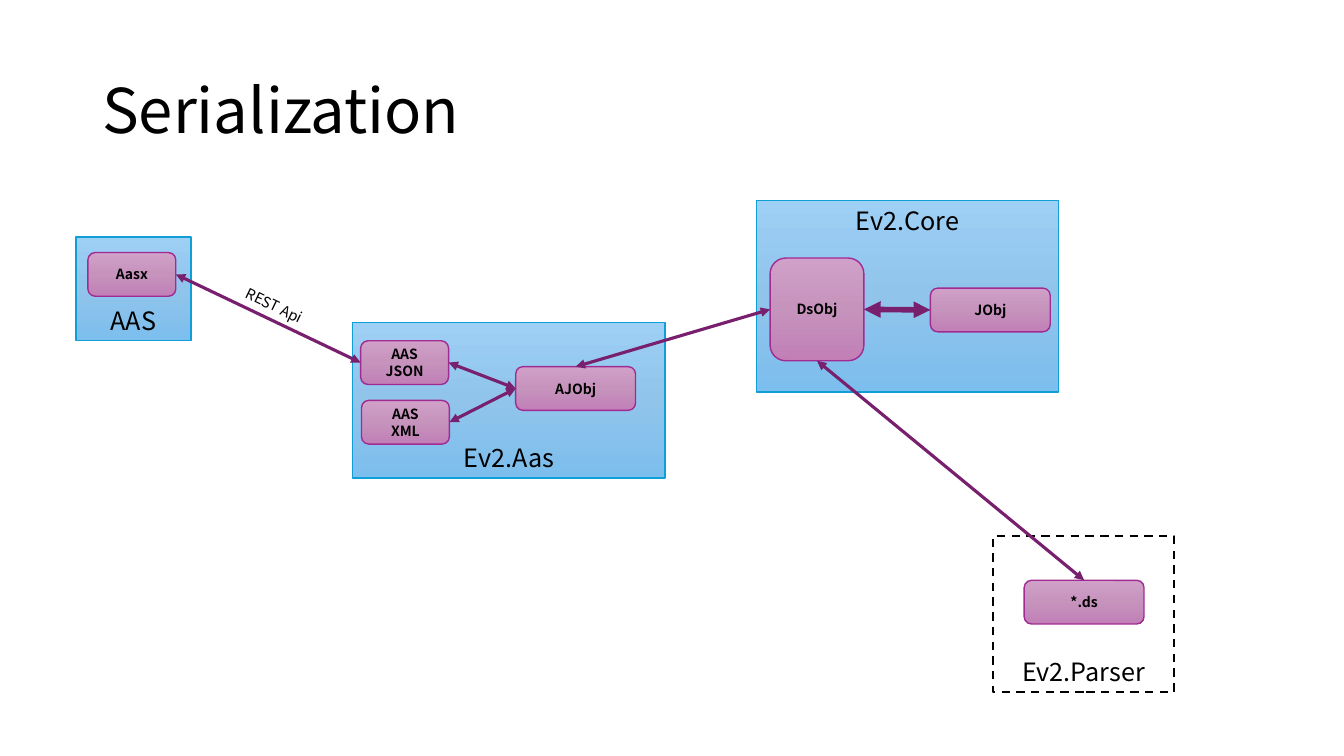
from copy import deepcopy

from pptx import Presentation
from pptx.dml.color import RGBColor
from pptx.enum.dml import MSO_LINE
from pptx.enum.shapes import MSO_CONNECTOR, MSO_SHAPE
from pptx.enum.text import MSO_ANCHOR, MSO_AUTO_SIZE, PP_ALIGN
from pptx.oxml import parse_xml
from pptx.oxml.ns import nsdecls, qn
from pptx.util import Pt

THEME = {
    "font": "Noto Sans CJK KR",
    "text": "000000",
    "title_size": 44, "module_size": 18, "object_size": 10, "label_size": 10.5,
    "module_fill": ("9ECFF5", "90C4EB", "7CBEED"), "module_line": "0F9ED5",
    "object_fill": ("D0A0C8", "C693BD", "C17FB6"), "object_line": "A02B93",
    "external_fill": "FFFFFF", "external_line": "000000",
    "link": "78206E",
}

TITLE = ("Serialization", (66, 28.75, 828, 104.4))
LINK_LABEL = ("REST Api", (167, 208.8, 59.8, 20.9), 25.7)

# name, left, top, width, height, anchor, external
MODULES = [
    ("Ev2.Core", 540.5, 143.3, 215.5, 136.7, MSO_ANCHOR.TOP, False),
    ("Ev2.Aas", 252, 230.4, 223.2, 111, MSO_ANCHOR.BOTTOM, False),
    ("Ev2.Parser", 709.2, 383.2, 129.6, 111, MSO_ANCHOR.BOTTOM, True),
    ("AAS", 54.2, 169.2, 82.2, 74.2, MSO_ANCHOR.BOTTOM, False),
]

SMALL, WIDE, TALL = (62.8, 31.2), (85.6, 31.2), (67, 73.4)
# key: lines, left, top, size
OBJECTS = {
    "ds_obj": (["DsObj"], 550.1, 184.3, TALL),
    "j_obj": (["JObj"], 664.6, 205.8, WIDE),
    "aj_obj": (["AJObj"], 368.4, 261.9, WIDE),
    "ds_file": (["*.ds"], 731.6, 414.5, WIDE),
    "xml": (["AAS", "XML"], 258.2, 286, SMALL),
    "json": (["AAS", "JSON"], 257.6, 243.4, SMALL),
    "aasx": (["Aasx"], 62.8, 180.4, SMALL),
}

TOP, LEFT, BOTTOM, RIGHT = range(4)
# from, side, to, side, line width
LINKS = [
    ("ds_obj", LEFT, "aj_obj", TOP, 2.25),
    ("j_obj", LEFT, "ds_obj", RIGHT, 4),
    ("ds_obj", BOTTOM, "ds_file", TOP, 2.25),
    ("aj_obj", LEFT, "xml", RIGHT, 2.25),
    ("json", LEFT, "aasx", RIGHT, 2.25),
    ("aj_obj", LEFT, "json", RIGHT, 2.25),
]


def rgb(name):
    return RGBColor.from_string(THEME.get(name, name))


def write(sp, lines, size, anchor, align=PP_ALIGN.CENTER, bold=False, wrap=True):
    tf = sp.text_frame
    tf.word_wrap = wrap
    tf.vertical_anchor = anchor
    for i, line in enumerate(lines):
        p = tf.add_paragraph() if i else tf.paragraphs[0]
        p.alignment = align
        r = p.add_run()
        r.text = line
        r.font.name = THEME["font"]
        r.font.size = Pt(THEME[size])
        r.font.bold = bold
        r.font.color.rgb = rgb("text")
    return tf


def add_text(s, box):
    return s.shapes.add_textbox(*map(Pt, box))


def add_box(s, preset, box, style, line_width=1):
    sp = s.shapes.add_shape(preset, *map(Pt, box))
    sp.shadow.inherit = False
    fill = THEME[f"{style}_fill"]
    if isinstance(fill, tuple):
        fill_gradient(sp, fill)
    else:
        sp.fill.solid()
        sp.fill.fore_color.rgb = rgb(fill)
    sp.line.color.rgb = rgb(f"{style}_line")
    sp.line.width = Pt(line_width)
    return sp


def fill_gradient(sp, colours):
    """Fill from top to bottom with three evenly spaced colours."""
    sp.fill.gradient()
    sp.fill.gradient_angle = 270
    stops = next(sp.element.spPr.iter(qn("a:gsLst")))
    stops.insert(1, deepcopy(stops[0]))
    for i, (stop, colour) in enumerate(zip(sp.fill.gradient_stops, colours)):
        stop.position = i / 2
        stop.color.rgb = rgb(colour)


def add_link(s, start, start_side, end, end_side, width):
    cx = s.shapes.add_connector(MSO_CONNECTOR.STRAIGHT, 0, 0, 0, 0)
    cx.begin_connect(start, start_side)
    cx.end_connect(end, end_side)
    cx.line.color.rgb = rgb("link")
    cx.line.width = Pt(width)
    ln = cx.line._get_or_add_ln()
    for tag in ("headEnd", "tailEnd"):
        ln.append(parse_xml(f'<a:{tag} {nsdecls("a")} type="triangle"/>'))
    cx.element.spPr.append(parse_xml(f'<a:effectLst {nsdecls("a")}/>'))


def main():
    prs = Presentation()
    prs.slide_width, prs.slide_height = Pt(960), Pt(540)
    s = prs.slides.add_slide(prs.slide_layouts[6])

    text, box = TITLE
    tf = write(add_text(s, box), [text], "title_size", MSO_ANCHOR.MIDDLE, PP_ALIGN.LEFT)
    tf.paragraphs[0].line_spacing = 0.9

    for name, *box, anchor, external in MODULES:
        if external:
            sp = add_box(s, MSO_SHAPE.RECTANGLE, box, "external", 1.5)
            sp.line.dash_style = MSO_LINE.DASH
        else:
            sp = add_box(s, MSO_SHAPE.RECTANGLE, box, "module")
        write(sp, [name], "module_size", anchor)

    objects = {}
    for key, (lines, left, top, size) in OBJECTS.items():
        sp = add_box(s, MSO_SHAPE.ROUNDED_RECTANGLE, (left, top, *size), "object")
        write(sp, lines, "object_size", MSO_ANCHOR.MIDDLE, bold=True)
        objects[key] = sp

    for start, start_side, end, end_side, width in LINKS:
        add_link(s, objects[start], start_side, objects[end], end_side, width)

    text, box, angle = LINK_LABEL
    sp = add_text(s, box)
    sp.rotation = angle
    tf = write(sp, [text], "label_size", MSO_ANCHOR.TOP, PP_ALIGN.LEFT, wrap=False)
    tf.auto_size = MSO_AUTO_SIZE.SHAPE_TO_FIT_TEXT

    prs.save("out.pptx")


if __name__ == "__main__":
    main()
